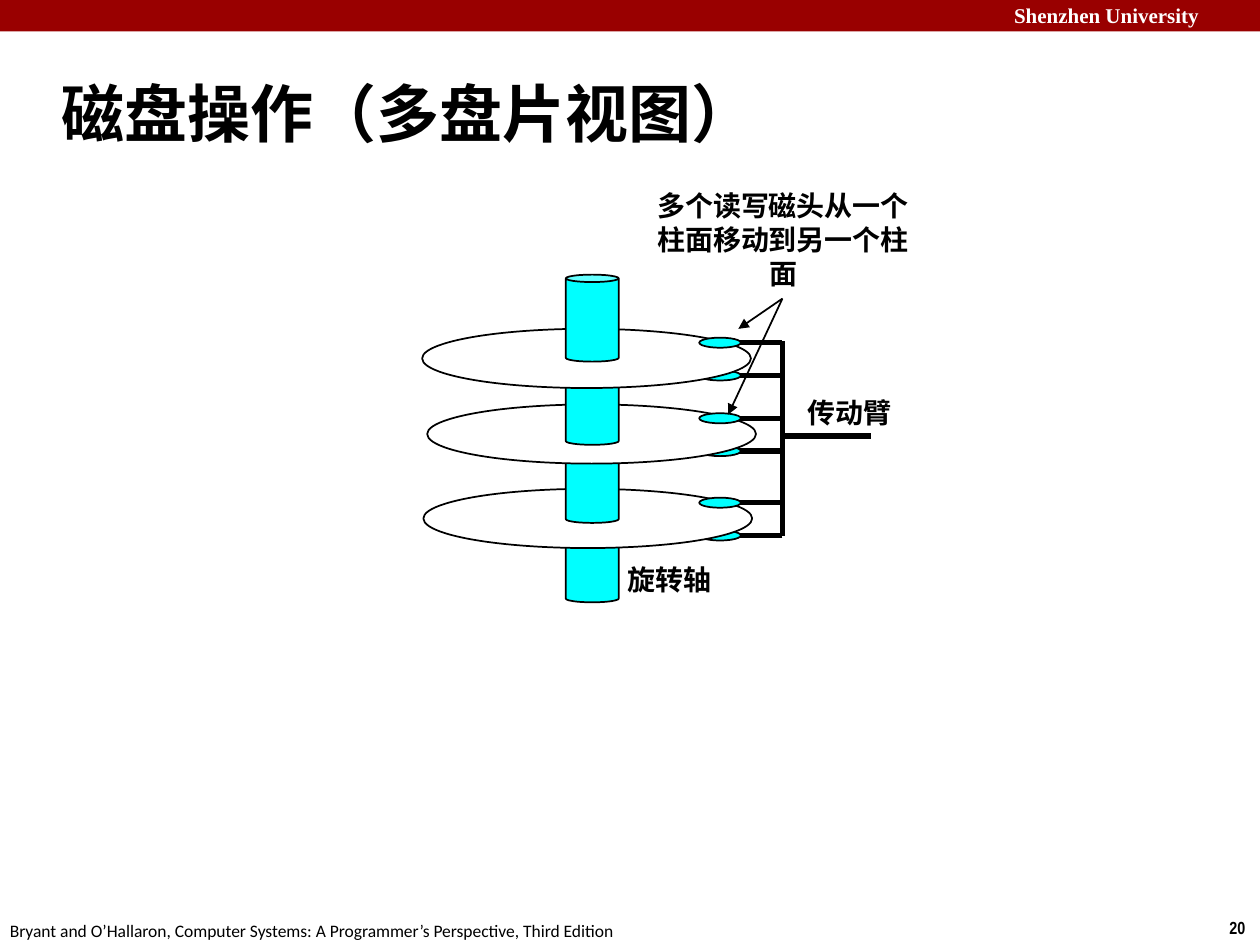
from dataclasses import dataclass

from lxml.etree import SubElement
from pptx import Presentation
from pptx.dml.color import RGBColor
from pptx.enum.shapes import MSO_CONNECTOR, MSO_SHAPE
from pptx.enum.text import MSO_ANCHOR, PP_ALIGN
from pptx.oxml.ns import qn
from pptx.util import Inches, Pt


@dataclass(frozen=True)
class Theme:
    """Colours, fonts, type sizes and line weights."""
    bar: str = "990000"
    metal: str = "00FFFF"
    paper: str = "FFFFFF"
    ink: str = "000000"
    body: str = "Calibri"
    label: str = "Arial Narrow"
    brand: str = "Times New Roman"
    title_pt: int = 36
    label_pt: int = 16
    brand_pt: int = 12
    small_pt: int = 10
    thin: int = 1
    thick: int = 3


T = Theme()
COLS, ROWS = 100, 75
CELL = 0.1


def g(n):
    """Turn grid cells into a length."""
    return Inches(n * CELL)


def add_text(s, box, text, font, size, color=T.ink, bold=True,
             align=PP_ALIGN.LEFT, anchor=MSO_ANCHOR.TOP, wrap=True):
    """Place one run of text in a box."""
    tf = s.shapes.add_textbox(*map(g, box)).text_frame
    tf.word_wrap = wrap
    tf.vertical_anchor = anchor
    p = tf.paragraphs[0]
    p.alignment = align
    r = p.add_run()
    r.text = text
    r.font.name, r.font.size, r.font.bold = font, Pt(size), bold
    r.font.color.rgb = RGBColor.from_string(color)


def add_solid(s, kind, box, fill, line=T.ink):
    """Place a filled preset shape, outlined unless line is None."""
    sp = s.shapes.add_shape(kind, *map(g, box))
    sp.shadow.inherit = False
    sp.fill.solid()
    sp.fill.fore_color.rgb = RGBColor.from_string(fill)
    if line is None:
        sp.line.fill.background()
    else:
        sp.line.color.rgb = RGBColor.from_string(line)
        sp.line.width = Pt(T.thin)
    return sp


def add_line(s, start, end, weight, arrow=False):
    """Draw a straight line, with an arrowhead at its end if asked."""
    cn = s.shapes.add_connector(MSO_CONNECTOR.STRAIGHT, *map(g, (*start, *end)))
    cn.line.color.rgb = RGBColor.from_string(T.ink)
    cn.line.width = Pt(weight)
    if arrow:
        SubElement(cn.line._get_or_add_ln(), qn("a:tailEnd"), type="triangle")
    SubElement(cn._element.spPr, qn("a:effectLst"))


def add_header(s, box):
    """Draw the top bar with the school name."""
    x, y, w, h = box
    add_solid(s, MSO_SHAPE.RECTANGLE, box, T.bar, None)
    add_text(s, (x + 0.795 * w, y - 0.3, 0.212 * w, h + 0.5),
             "Shenzhen University", T.brand, T.brand_pt, T.paper)


def add_footer(s, box):
    """Place the book reference and the slide number."""
    x, y, w, h = box
    add_text(s, (x + 0.966 * w, y, 0.034 * w, h), "20",
             T.label, T.small_pt, wrap=False)
    add_text(s, (x - 0.2, y + 0.2, 0.509 * w, h),
             "Bryant and O’Hallaron, Computer Systems: A Programmer’s Perspective, Third Edition",
             T.body, T.small_pt, bold=False, wrap=False)


def add_title(s, box):
    """Place the slide title."""
    add_text(s, box, "磁盘操作（多盘片视图）", T.body, T.title_pt,
             anchor=MSO_ANCHOR.MIDDLE)


def add_head(s, x, y, post):
    """Draw a read/write head with its arm to the post."""
    add_line(s, (post, y + 0.4), (x + 1.65, y + 0.4), T.thick)
    add_solid(s, MSO_SHAPE.OVAL, (x, y, 3.3, 0.8), T.metal)


def add_spindle(s, x, y):
    """Draw one section of the spindle."""
    sp = add_solid(s, MSO_SHAPE.CAN, (x, y, 4.2, 6.9), T.metal)
    sp.adjustments[0] = 0.14


def add_disk(s, box):
    """Draw platters, spindle, heads and arm from the bottom up."""
    x, y, w, h = box
    post, axle = x + 28.6, x + 11.4
    platters = [(0.1, 17, 14.6, 12.8), (0.4, 10.3, 10.4, 6.6), (0, 4.3, 4.9, 0)]
    for dx, top, _, _ in platters:
        add_head(s, x + 22, y + top + 3.3, post)
    add_spindle(s, axle, y + 19.1)
    for dx, top, upper, section in platters:
        add_solid(s, MSO_SHAPE.OVAL, (x + dx, y + top, 26.1, 4.7), T.paper)
        add_spindle(s, axle, y + section)
        upper = top + 0.7
        add_head(s, x + 22, y + upper, post)
    add_line(s, (post, y + 5.3), (post, y + 20.7), T.thick)
    add_line(s, (post, y + 12.8), (x + w, y + 12.8), T.thick)


def add_labels(s, box):
    """Name the parts of the disk and point at two heads."""
    x, y, w, h = box
    for dx, dy, text in ((29.6, 9.1, "传动臂"), (15.3, 22.3, "旋转轴")):
        add_text(s, (x + dx, y + dy, 8.7, 3.7), text, T.label, T.label_pt,
                 align=PP_ALIGN.CENTER, anchor=MSO_ANCHOR.MIDDLE, wrap=False)
    add_text(s, (x + 16.6, y - 7.3, 24.1, 9), "多个读写磁头从一个柱面移动到另一个柱面",
             T.label, T.label_pt, align=PP_ALIGN.CENTER, anchor=MSO_ANCHOR.MIDDLE)
    for dx, dy in ((25.1, 4.3), (24.3, 11.1)):
        add_line(s, (x + 28.6, y + 1.9), (x + dx, y + dy), T.thin, arrow=True)


def main():
    """Build the slide and save it."""
    prs = Presentation()
    prs.slide_width, prs.slide_height = g(COLS), g(ROWS)
    s = prs.slides.add_slide(prs.slide_layouts[6])
    disk = (33.5, 21.8, 35.6, 26)
    add_header(s, (0, 0, COLS, 2.5))
    add_footer(s, (0, 72.3, COLS, 2.7))
    add_title(s, (3.9, 4.8, 83, 8.3))
    add_disk(s, disk)
    add_labels(s, disk)
    prs.save("out.pptx")


if __name__ == "__main__":
    main()
